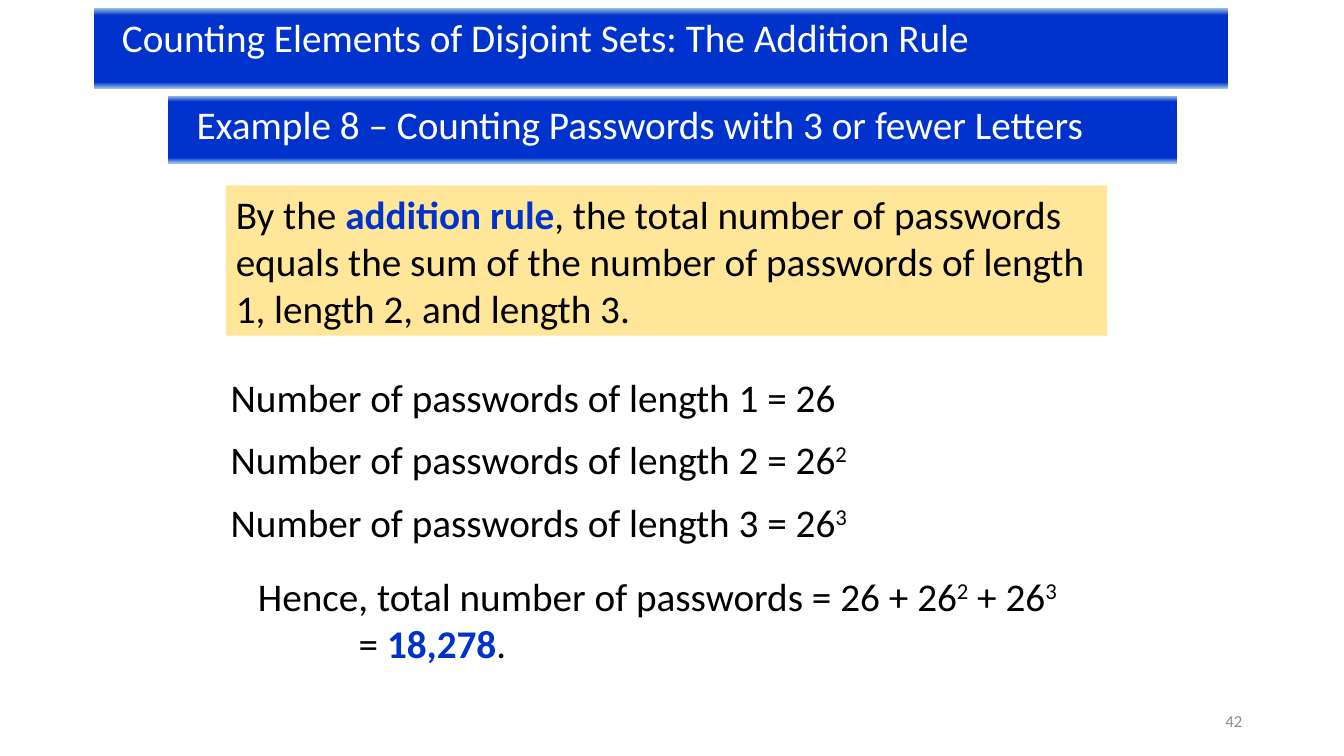
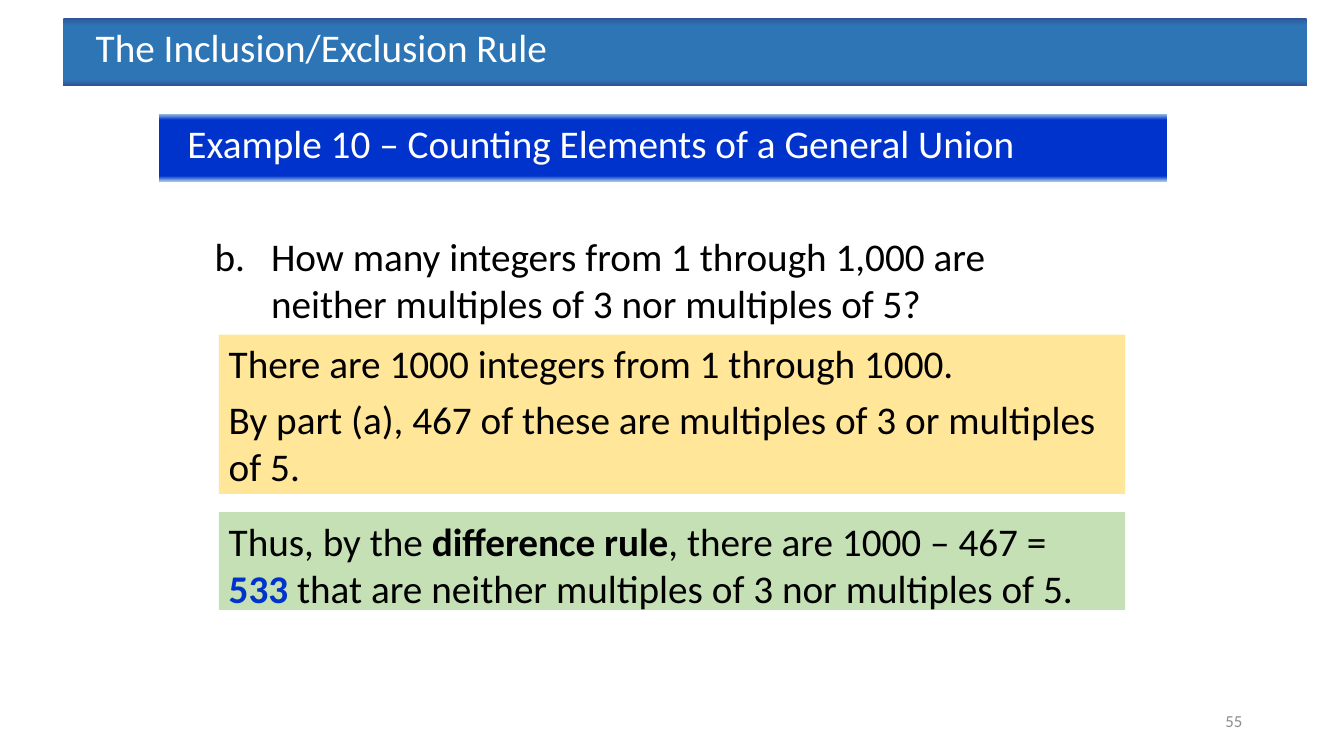
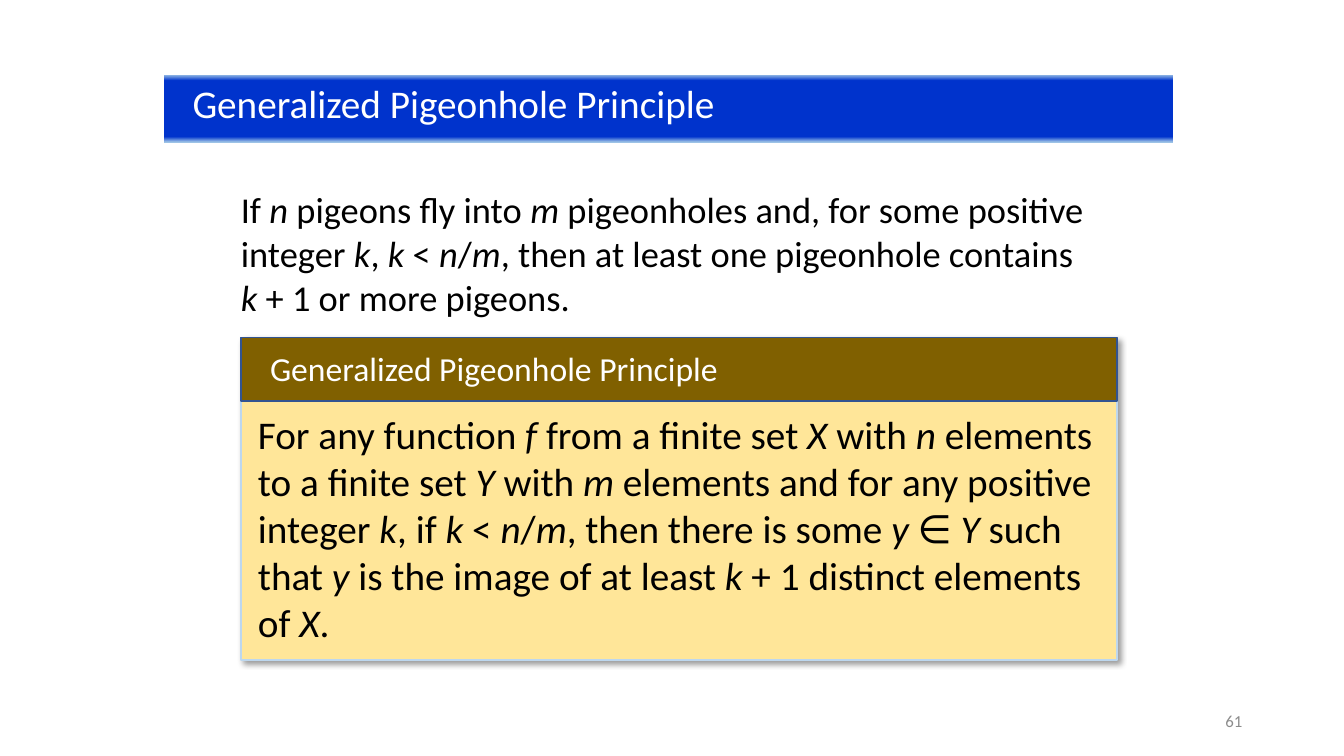
from dataclasses import dataclass

from lxml.etree import SubElement
from pptx import Presentation
from pptx.dml.color import RGBColor as RGB
from pptx.enum.shapes import MSO_SHAPE as SHAPE
from pptx.enum.text import MSO_ANCHOR as ANCHOR, PP_ALIGN as ALIGN
from pptx.oxml.ns import qn
from pptx.util import Inches, Pt


@dataclass(frozen=True)
class Theme:
    font: str = "Calibri"
    body: int = 28
    statement: int = 26
    heading: int = 24
    footer: int = 12
    black: str = "000000"
    white: str = "FFFFFF"
    grey: str = "8C8C8C"
    key: str = "0033CC"
    yellow: str = "FFE699"
    green: str = "C5E0B4"
    brown: str = "806000"
    card_line: str = "BDD7EE"
    heading_line: str = "325491"
    royal: tuple = ((0, "9DC3E6"), (9, "0033CC"), (92, "0033CC"), (100, "9DC3E6"))
    steel: tuple = ((0, "2F5597"), (11, "2E75B6"), (91, "2E75B6"), (100, "2F5597"))


THEME = Theme()


def add_box(shapes, at, paras=(), size=THEME.body, color=THEME.black, fill=None, line=None, after=0):
    """Add a filled rectangle or a bare text box; paras hold (text, style) runs."""
    place = [Inches(value) for value in at]
    if fill:
        box = shapes.add_shape(SHAPE.RECTANGLE, *place)
        box.shadow.inherit = False
        box.fill.solid()
        box.fill.fore_color.rgb = RGB.from_string(fill)
        if line:
            box.line.color.rgb = RGB.from_string(line)
            box.line.width = Pt(1)
        else:
            box.line.fill.background()
    else:
        box = shapes.add_textbox(*place)
    frame = box.text_frame
    frame.word_wrap = True
    frame.vertical_anchor = ANCHOR.TOP
    frame.margin_right = Inches(0.12)
    for index, runs in enumerate(paras):
        para = frame.add_paragraph() if index else frame.paragraphs[0]
        para.alignment = ALIGN.LEFT
        para.space_after = Pt(after)
        for text, style in runs:
            span = para.add_run()
            span.text = text
            span.font.name = THEME.font
            span.font.size = Pt(size)
            span.font.bold = style in ("bold", "key")
            span.font.italic = style == "italic"
            span.font.color.rgb = RGB.from_string(THEME.key if style == "key" else color)
            if style == "super":
                span._r.get_or_add_rPr().set("baseline", "30000")
    return box


def add_band(page, at, title, stops=THEME.royal, inset=0.28):
    band = add_box(page.shapes, at, [[(title, "")]], color=THEME.white, fill=THEME.key)
    band.text_frame.margin_left = Inches(inset)
    band.fill.gradient()
    band.fill.gradient_angle = 270
    stop_list = band._element.spPr.find(".//" + qn("a:gsLst"))
    stop_list.clear()
    for position, color in stops:
        stop = SubElement(stop_list, qn("a:gs"), pos=str(position * 1000))
        SubElement(stop, qn("a:srgbClr"), val=color)


deck = Presentation()
deck.slide_width, deck.slide_height = Inches(13.33), Inches(7.5)
pages = []
for number in ("42", "55", "61"):
    page = deck.slides.add_slide(deck.slide_layouts[6])
    footer = add_box(page.shapes, (9.42, 6.95, 3, 0.4), [[(number, "")]], THEME.footer, THEME.grey)
    footer.text_frame.margin_right = Inches(0.1)
    footer.text_frame.vertical_anchor = ANCHOR.MIDDLE
    footer.text_frame.paragraphs[0].alignment = ALIGN.RIGHT
    pages.append(page)
addition, inclusion, pigeonhole = pages

# Addition rule
add_band(addition, (0.93, 0.08, 11.25, 0.8), "Counting Elements of Disjoint Sets: The Addition Rule")
add_band(addition, (1.67, 0.95, 10, 0.67), "Example 8 – Counting Passwords with 3 or fewer Letters")
add_box(addition.shapes, (2.24, 1.84, 8.74, 1.49), [[
    ("By the ", ""), ("addition rule", "key"),
    (", the total number of passwords equals the sum of the number of passwords "
     "of length 1, length 2, and length 3.", ""),
]], fill=THEME.yellow)
for length in (1, 2, 3):
    runs = [(f"Number of passwords of length {length} = 26", "")]
    if length > 1:
        runs.append((str(length), "super"))
    add_box(addition.shapes, (2.19, 3.65 + 0.62 * (length - 1), 8.74, 0.68), [runs])
total = add_box(addition.shapes, (2.46, 5.63, 8.74, 0.98), [
    [("Hence, total number of passwords = 26 + 26", ""), ("2", "super"), (" + 26", ""), ("3", "super")],
    [("= ", ""), ("18,278", "key"), (".", "")],
])
total.text_frame.paragraphs[1]._p.get_or_add_pPr().set("marL", str(Inches(1)))

# Inclusion/exclusion rule
add_band(inclusion, (0.63, 0.18, 12.33, 0.67), "The Inclusion/Exclusion Rule", THEME.steel, 0.32)
add_band(inclusion, (1.58, 1.13, 10, 0.67), "Example 10 – Counting Elements of a General Union")
question = add_box(inclusion.shapes, (2.03, 2.26, 8.79, 1.13), [[
    ("How many integers from 1 through 1,000 are neither multiples of 3 nor multiples of 5?", ""),
]])
layout = question.text_frame.paragraphs[0]._p.get_or_add_pPr()
layout.set("marL", str(Inches(0.56)))
layout.set("indent", str(Inches(-0.56)))
SubElement(layout, qn("a:buFont"), typeface=THEME.font)
SubElement(layout, qn("a:buAutoNum"), type="alphaLcPeriod", startAt="2")
add_box(inclusion.shapes, (2.17, 3.32, 8.99, 1.58), [
    [("There are 1000 integers from 1 through 1000.", "")],
    [("By part (a), 467 of these are multiples of 3 or multiples of 5.", "")],
], fill=THEME.yellow, after=6)
add_box(inclusion.shapes, (2.17, 5.08, 8.99, 0.97), [[
    ("Thus, by the ", ""), ("difference rule", "bold"), (", there are 1000 – 467 = ", ""),
    ("533", "key"), (" that are neither multiples of 3 nor multiples of 5.", ""),
]], fill=THEME.green, after=6)

# Pigeonhole principle: asterisks enclose the italic variables
informal, formal = (
    [(text, "italic" if index % 2 else "") for index, text in enumerate(statement.split("*"))]
    for statement in (
        "If* n* pigeons fly into *m* pigeonholes and, for some positive integer *k*, *k* < *n*/*m*, "
        "then at least one pigeonhole contains *k* + 1 or more pigeons.",
        "For any function *f* from a finite set *X* with *n *elements to a finite set *Y* with *m* "
        "elements and for any positive integer *k*, if *k* < *n*/*m*, then there is some *y *∈ *Y* "
        "such that *y* is the image of at least *k* + 1 distinct elements of *X*.",
    )
)
add_box(pigeonhole.shapes, (2.29, 1.81, 8.69, 1.4), [informal], THEME.statement)
add_band(pigeonhole, (1.63, 0.74, 10, 0.67), "Generalized Pigeonhole Principle")
card = pigeonhole.shapes.add_group_shape().shapes
panel = add_box(card, (2.39, 3.35, 8.69, 3.2), fill=THEME.yellow, line=THEME.card_line)
shadow = SubElement(panel._element.spPr.find(qn("a:effectLst")), qn("a:outerShdw"),
                    blurRad=str(Pt(4)), dist=str(Pt(3)), dir=str(45 * 60000), algn="tl", rotWithShape="0")
shade = SubElement(shadow, qn("a:srgbClr"), val=THEME.black)
SubElement(shade, qn("a:alpha"), val="40000")
add_box(card, (2.39, 3.35, 8.69, 0.63), fill=THEME.brown, line=THEME.heading_line)
add_box(card, (2.58, 3.4, 5.72, 0.5), [[("Generalized Pigeonhole Principle", "")]], THEME.heading, THEME.white)
add_box(card, (2.46, 4.02, 8.52, 2.46), [formal])

deck.save("out.pptx")
